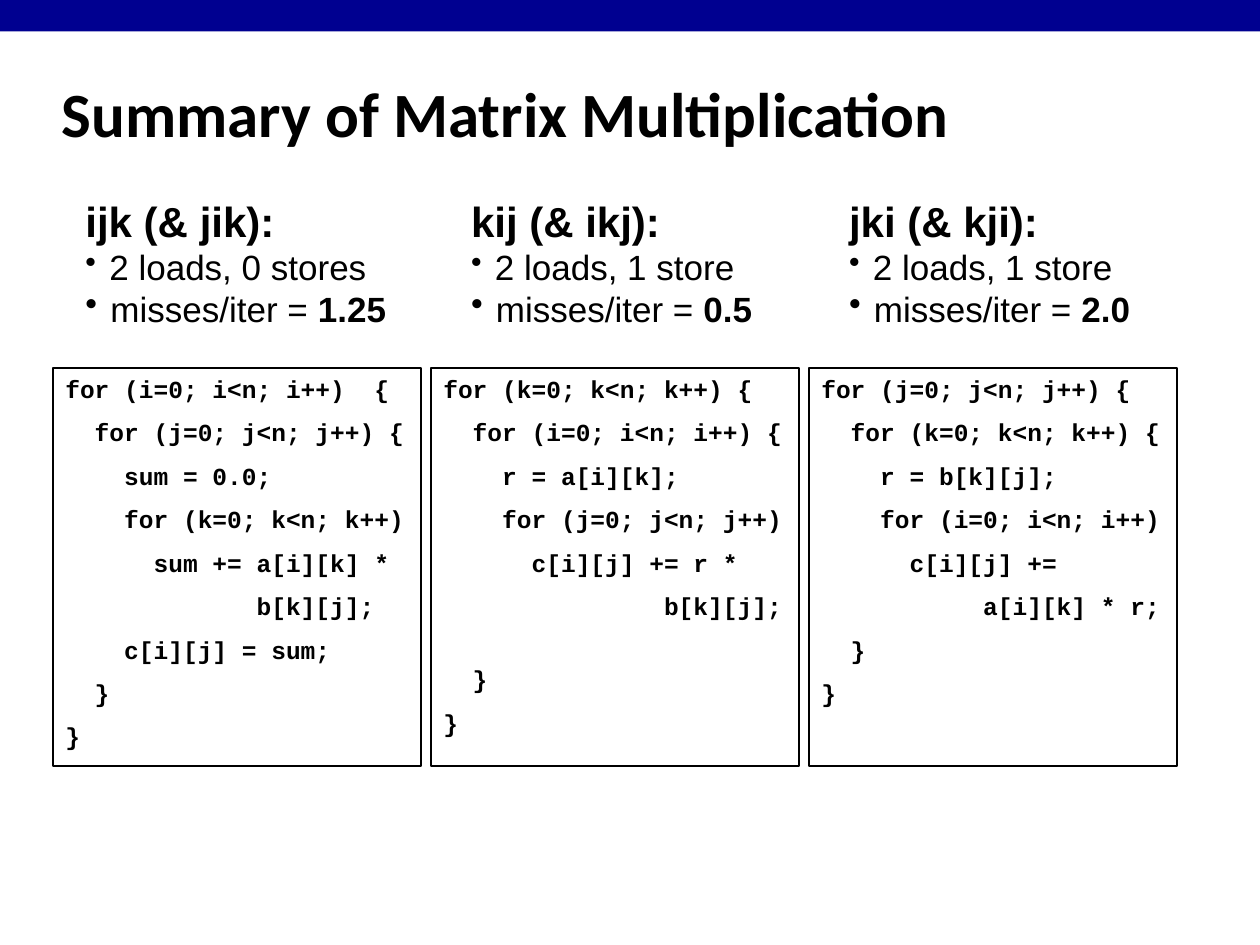
import pptx
import pptx.util
import pptx.dml.color
import pptx.enum.shapes
import pptx.enum.text
import pptx.oxml
import pptx.oxml.ns

Inches = pptx.util.Inches
Pt = pptx.util.Pt

BLACK = "000000"
NAVY = "000090"
TITLE = "Summary of Matrix Multiplication"
LINE_GAP = 8
WIDE_GAP = 25

VARIANTS = [
    {
        "heading": "ijk (& jik):", "accesses": "2 loads, 0 stores", "misses": "1.25",
        "left": 0.58, "width": 2.68, "wide_gap_before": None,
        "code": [
            "for (i=0; i<n; i++)  {",
            "  for (j=0; j<n; j++) {",
            "    sum = 0.0;",
            "    for (k=0; k<n; k++)",
            "      sum += a[i][k] *",
            "             b[k][j];",
            "    c[i][j] = sum;",
            "  }",
            "}",
        ],
    },
    {
        "heading": "kij (& ikj):", "accesses": "2 loads, 1 store", "misses": "0.5",
        "left": 3.64, "width": 2.53, "wide_gap_before": 6,
        "code": [
            "for (k=0; k<n; k++) {",
            "  for (i=0; i<n; i++) {",
            "    r = a[i][k];",
            "    for (j=0; j<n; j++)",
            "      c[i][j] += r *",
            "               b[k][j];",
            "  }",
            "}",
        ],
    },
    {
        "heading": "jki (& kji):", "accesses": "2 loads, 1 store", "misses": "2.0",
        "left": 6.64, "width": 2.53, "wide_gap_before": None,
        "code": [
            "for (j=0; j<n; j++) {",
            "  for (k=0; k<n; k++) {",
            "    r = b[k][j];",
            "    for (i=0; i<n; i++)",
            "      c[i][j] +=",
            "           a[i][k] * r;",
            "  }",
            "}",
        ],
    },
]


def color(value):
    return pptx.dml.color.RGBColor.from_string(value)


def add_run(paragraph, text, font, size, bold=True):
    run = paragraph.add_run()
    run.text = text
    run.font.name = font
    run.font.size = Pt(size)
    run.font.bold = bold
    run.font.color.rgb = color(BLACK)


def add_paragraph(frame, index):
    paragraph = frame.paragraphs[0] if index == 0 else frame.add_paragraph()
    paragraph.alignment = pptx.enum.text.PP_ALIGN.LEFT
    return paragraph


def add_bullet(paragraph):
    paragraph.level = 1
    properties = paragraph._p.get_or_add_pPr()
    properties.set("marL", str(Inches(0.12)))
    properties.set("indent", str(-Inches(0.12)))
    bullet = pptx.oxml.parse_xml(
        f'<a:buChar {pptx.oxml.ns.nsdecls("a")} char="•"/>')
    properties.append(bullet)


def add_rectangle(slide, left, top, width, height):
    shape = slide.shapes.add_shape(
        pptx.enum.shapes.MSO_SHAPE.RECTANGLE,
        Inches(left), Inches(top), Inches(width), Inches(height))
    shape.shadow.inherit = False
    return shape


def add_code(slide, column, variant):
    shape = add_rectangle(slide, 0.42 + 3 * column, 2.92, 2.92, 3.16)
    shape.fill.background()
    shape.line.color.rgb = color(BLACK)
    shape.line.width = Pt(1)
    frame = shape.text_frame
    frame.word_wrap = True
    frame.vertical_anchor = pptx.enum.text.MSO_ANCHOR.TOP
    for index, line in enumerate(variant["code"]):
        paragraph = add_paragraph(frame, index)
        if index:
            wide = index == variant["wide_gap_before"]
            paragraph.space_before = Pt(WIDE_GAP if wide else LINE_GAP)
        add_run(paragraph, line, "Courier New", 14)


def add_summary(slide, variant):
    box = slide.shapes.add_textbox(
        Inches(variant["left"]), Inches(1.5), Inches(variant["width"]), Inches(1.16))
    frame = box.text_frame
    frame.word_wrap = False
    frame.auto_size = pptx.enum.text.MSO_AUTO_SIZE.SHAPE_TO_FIT_TEXT
    lines = [
        [(variant["heading"], 24, True)],
        [(" ", 18, True), (variant["accesses"], 20, False)],
        [(" misses/iter = ", 20, False), (variant["misses"], 20, True)],
    ]
    for index, runs in enumerate(lines):
        paragraph = add_paragraph(frame, index)
        if index:
            add_bullet(paragraph)
        for text, size, bold in runs:
            add_run(paragraph, text, "Arial", size, bold)


def main():
    presentation = pptx.Presentation()
    presentation.slide_width = Inches(10)
    presentation.slide_height = Inches(7.5)
    slide = presentation.slides.add_slide(presentation.slide_layouts[5])

    bar = add_rectangle(slide, 0, 0, 10, 0.25)
    bar.fill.solid()
    bar.fill.fore_color.rgb = color(NAVY)
    bar.line.fill.background()

    title = slide.shapes.title
    title.left, title.top = Inches(0.39), Inches(0.48)
    title.width, title.height = Inches(8.3), Inches(0.83)
    title.text_frame.vertical_anchor = pptx.enum.text.MSO_ANCHOR.MIDDLE
    add_run(add_paragraph(title.text_frame, 0), TITLE, "Calibri", 36)

    for column, variant in enumerate(VARIANTS):
        add_code(slide, column, variant)
        add_summary(slide, variant)

    presentation.save("out.pptx")


if __name__ == "__main__":
    main()
